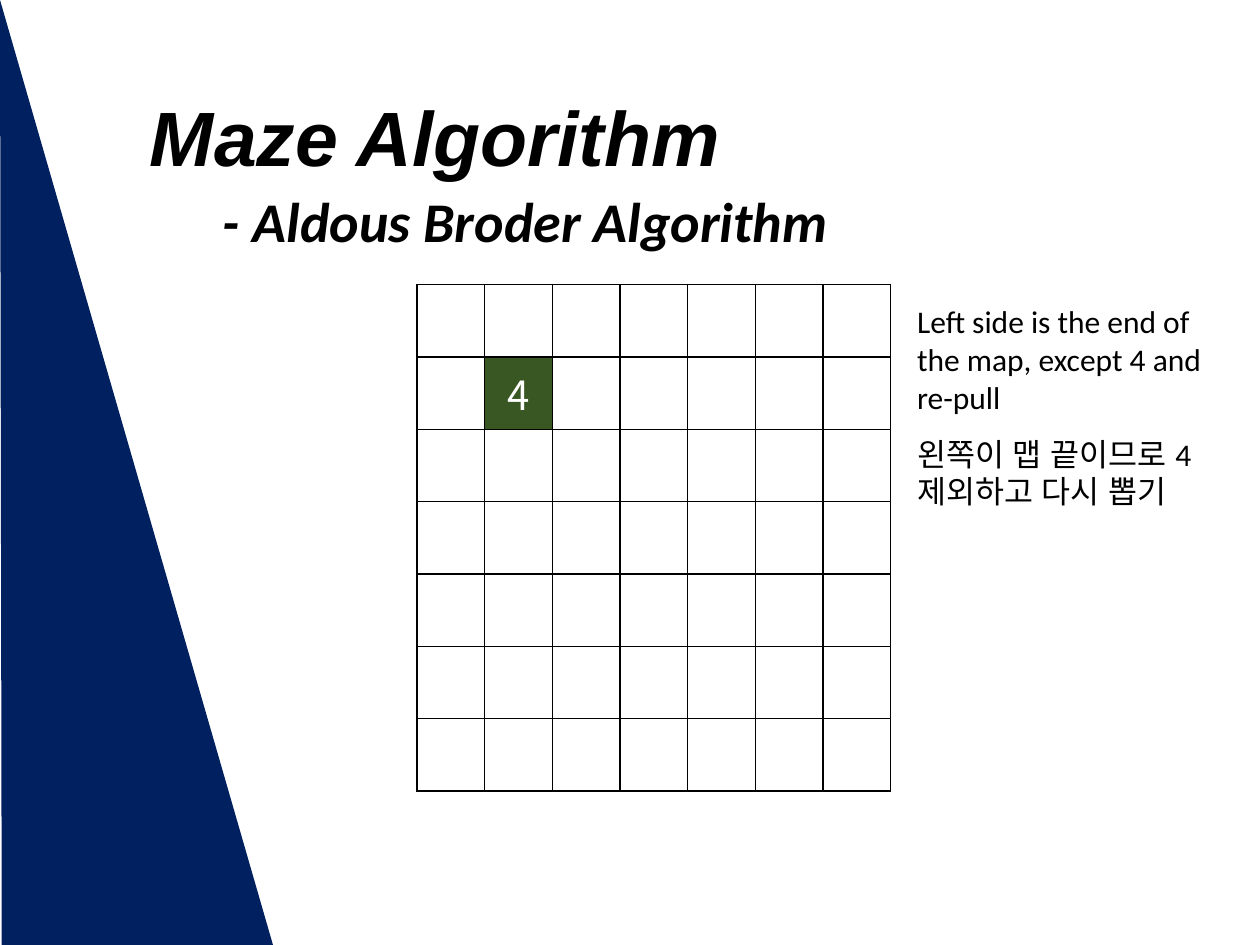
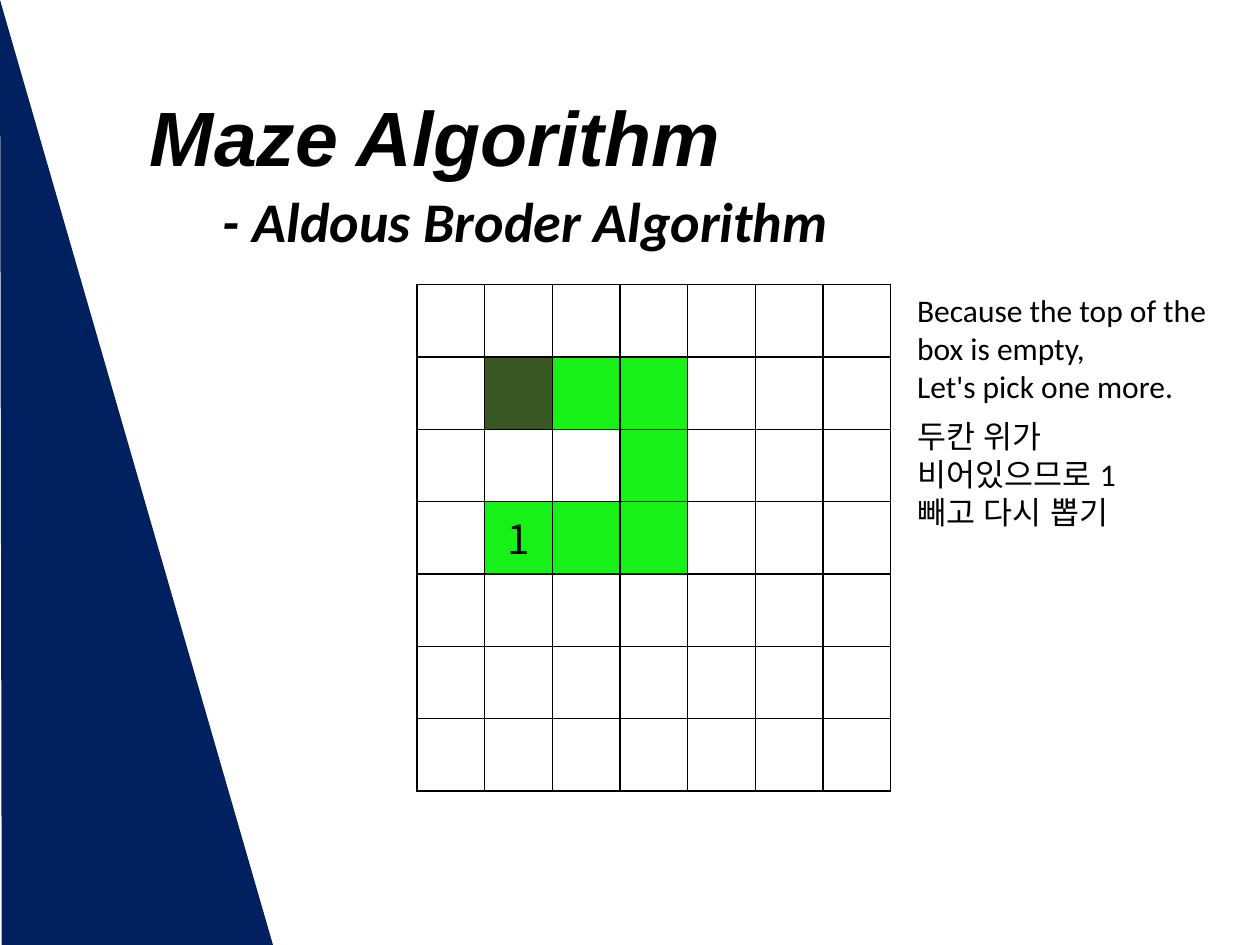
from dataclasses import dataclass

from lxml import etree
from pptx import Presentation
from pptx.dml.color import RGBColor
from pptx.enum.text import MSO_ANCHOR, MSO_AUTO_SIZE, PP_ALIGN
from pptx.oxml.ns import qn
from pptx.util import Pt

LEFT, CENTER = PP_ALIGN.LEFT, PP_ALIGN.CENTER
TOP, MIDDLE = MSO_ANCHOR.TOP, MSO_ANCHOR.MIDDLE
FIXED = MSO_AUTO_SIZE.NONE
WIDTH, HEIGHT = 720, 540
COUNT = 7
GRID = (238.3, 162.7, 270.7, 289.4)
NOTE_X, NOTE_W = 517, 182.9


@dataclass(frozen=True)
class Theme:
    black: str = "000000"
    white: str = "FFFFFF"
    navy: str = "002060"
    start: str = "385723"
    trail: str = "17F117"
    head: str = "Arial"
    body: str = "Calibri"
    asian: str = "Noto Sans CJK KR"
    title: int = 44
    sub: int = 32
    mark: int = 23
    note: int = 18


THEME = Theme()


def write(frame, text, font=THEME.body, size=THEME.note, color=THEME.black,
          bold=False, italic=False, align=LEFT, space=1.0, lang="en-US"):
    """Put text into a frame, one paragraph for each line."""
    frame.text = text
    for par in frame.paragraphs:
        par.alignment, par.line_spacing = align, space
        for run in par.runs:
            face = run.font
            face.name, face.size = font, Pt(size)
            face.bold, face.italic = bold, italic
            face.color.rgb = RGBColor.from_string(color)
            props = face._element
            props.set("lang", lang)
            asian = etree.Element(qn("a:ea"), typeface=THEME.asian)
            props.find(qn("a:latin")).addnext(asian)


def paint(fill, color):
    fill.solid()
    fill.fore_color.rgb = RGBColor.from_string(color)


def border(cell, color, width):
    props = cell._tc.get_or_add_tcPr()
    for spot, side in enumerate(("lnL", "lnR", "lnT", "lnB")):
        line = etree.Element(qn(f"a:{side}"), w=str(Pt(width)))
        solid = etree.SubElement(line, qn("a:solidFill"))
        etree.SubElement(solid, qn("a:srgbClr"), val=color)
        props.insert(spot, line)


class Deck:
    def __init__(self, theme):
        self.theme = theme
        self.show = Presentation()
        self.show.slide_width, self.show.slide_height = Pt(WIDTH), Pt(HEIGHT)
        self.slide = None

    def start(self, title, sub):
        """Open a slide with the shared title, wedge and subtitle."""
        theme = self.theme
        self.slide = self.show.slides.add_slide(self.show.slide_layouts[5])
        self.title(title)
        self.wedge()
        self.text(sub, 120.2, 107.3, 393.8, 104.4, size=theme.sub,
                  bold=True, italic=True, space=0.9)

    def title(self, text):
        shape = self.slide.shapes.title
        shape.left, shape.top = Pt(78.5), Pt(28.8)
        shape.width, shape.height = Pt(620.6), Pt(104.4)
        frame = shape.text_frame
        frame.auto_size, frame.vertical_anchor = FIXED, MIDDLE
        write(frame, text, font=self.theme.head, size=self.theme.title,
              bold=True, italic=True, space=0.9)

    def wedge(self):
        path = self.slide.shapes.build_freeform(0, 0, scale=Pt(1))
        path.add_line_segments([(156, HEIGHT), (1, HEIGHT)])
        shape = path.convert_to_shape()
        shape.shadow.inherit = False
        paint(shape.fill, self.theme.navy)
        shape.line.fill.background()

    def text(self, text, left, top, width, height, **style):
        box = self.slide.shapes.add_textbox(
            Pt(left), Pt(top), Pt(width), Pt(height))
        frame = box.text_frame
        frame.word_wrap, frame.vertical_anchor = True, TOP
        write(frame, text, **style)

    def maze(self, fills, marks):
        """Draw the grid; fills and marks are keyed by (row, column)."""
        theme = self.theme
        table = self.slide.shapes.add_table(
            COUNT, COUNT, *map(Pt, GRID)).table
        table.first_row = table.horz_banding = False
        for col in table.columns:
            col.width = Pt(GRID[2] / COUNT)
        for row in table.rows:
            row.height = Pt(GRID[3] / COUNT)
        for spot in range(COUNT * COUNT):
            place = divmod(spot, COUNT)
            cell = table.cell(*place)
            paint(cell.fill, fills.get(place, theme.white))
            border(cell, theme.black, 1)
            if place in marks:
                text, color = marks[place]
                write(cell.text_frame, text, font=theme.asian,
                      size=theme.mark, color=color, align=CENTER)


def main():
    deck = Deck(THEME)
    heads = ("Maze Algorithm", "- Aldous Broder Algorithm")
    first = {(1, 1): THEME.start}
    trail = [(1, 2), (1, 3), (2, 3), (3, 3), (3, 2), (3, 1)]

    deck.start(*heads)
    deck.maze(first, {(1, 1): ("4", THEME.white)})
    deck.text("왼쪽이 맵 끝이므로 4제외하고 다시 뽑기",
              NOTE_X, 244.8, NOTE_W, 51, lang="ko-KR")
    deck.text("Left side is the end of the map, except 4 and re-pull",
              NOTE_X, 169.2, NOTE_W, 72.7)

    deck.start(*heads)
    deck.maze(first | dict.fromkeys(trail, THEME.trail),
              {trail[-1]: ("1", THEME.black)})
    deck.text("두칸 위가 비어있으므로 1빼고 다시 뽑기",
              NOTE_X, 234.7, 149, 72.7, lang="ko-KR")
    deck.text("Because the top of the box is empty,\nLet's pick one more.",
              NOTE_X, 162.7, NOTE_W, 72.7)

    deck.show.save("out.pptx")


if __name__ == "__main__":
    main()
